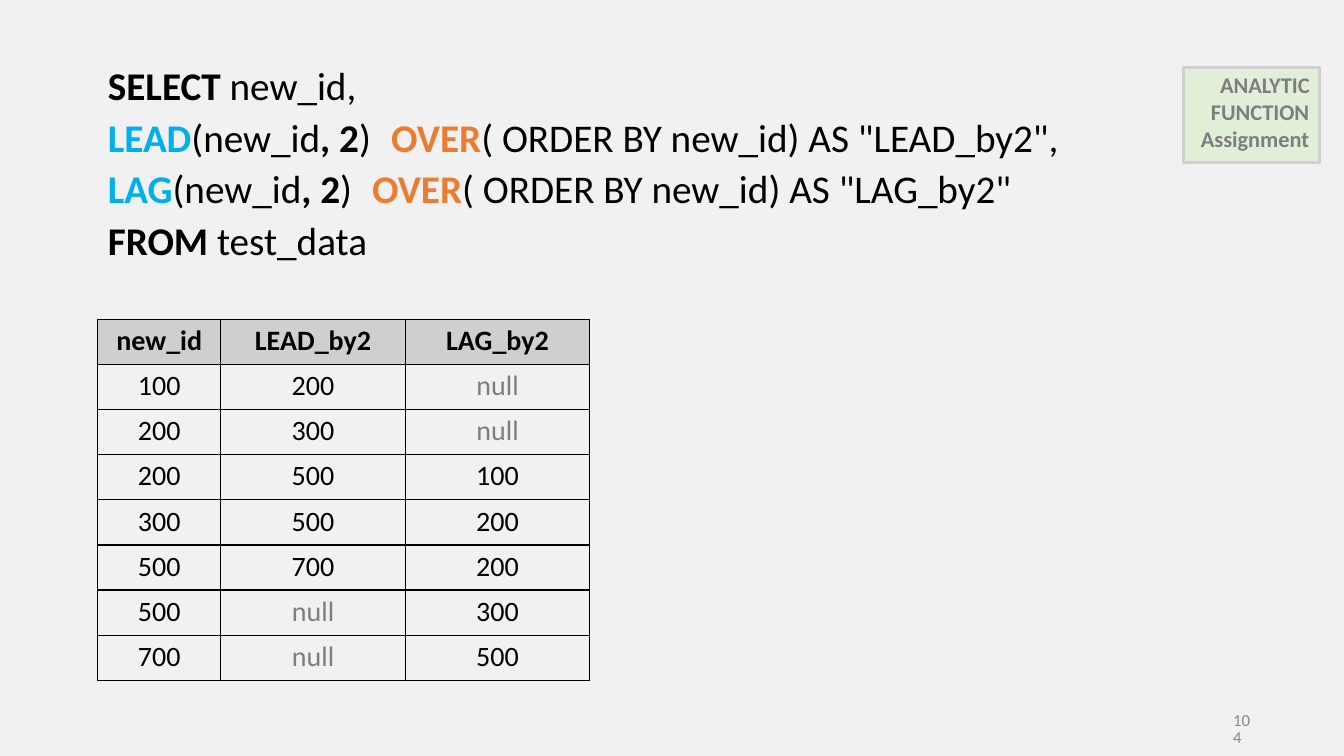
import pptx
import pptx.dml.color
import pptx.enum.shapes
import pptx.enum.text
import pptx.oxml.ns
import pptx.util
from lxml import etree

Inches = pptx.util.Inches
Pt = pptx.util.Pt
RGBColor = pptx.dml.color.RGBColor
PP_ALIGN = pptx.enum.text.PP_ALIGN
qn = pptx.oxml.ns.qn

BLACK = RGBColor(0x00, 0x00, 0x00)
BACKGROUND = RGBColor(0xF1, 0xF1, 0xF1)
BLUE = RGBColor(0x00, 0xAF, 0xEF)
ORANGE = RGBColor(0xEC, 0x7C, 0x30)
HEADER_GREY = RGBColor(0xD0, 0xCE, 0xCE)
PALE_GREEN = RGBColor(0xE1, 0xEF, 0xD9)
MUTED = RGBColor(0x7E, 0x7E, 0x7E)
PAGE_GREY = RGBColor(0x88, 0x88, 0x88)

RESULTS = [
    ("new_id", "LEAD_by2", "LAG_by2"),
    ("100", "200", "null"),
    ("200", "300", "null"),
    ("200", "500", "100"),
    ("300", "500", "200"),
    ("500", "700", "200"),
    ("500", "null", "300"),
    ("700", "null", "500"),
]


def window_call(function, alias):
    """Return the runs of one LEAD or LAG line."""
    return [(function, BLUE, True), ("(new_id", BLACK, False), (", 2", BLACK, True),
            (")\t", BLACK, False), ("OVER", ORANGE, True),
            (f"( ORDER BY new_id) AS {alias}", BLACK, False)]


def keyword_line(keyword, rest):
    return [(keyword, BLACK, True), (rest, BLACK, False)]


class SlideBuilder:
    font = "Calibri"

    def __init__(self, presentation):
        self.slide = presentation.slides.add_slide(presentation.slide_layouts[5])
        fill = self.slide.background.fill
        fill.solid()
        fill.fore_color.rgb = BACKGROUND

    def prepare(self, frame, top_inset=0.0, left_inset=0.0):
        frame.word_wrap = True
        frame.auto_size = pptx.enum.text.MSO_AUTO_SIZE.NONE
        frame.vertical_anchor = pptx.enum.text.MSO_ANCHOR.TOP
        frame.margin_right = frame.margin_bottom = 0
        frame.margin_left = Inches(left_inset)
        frame.margin_top = Inches(top_inset)
        return frame

    def style(self, paragraph, size, color=None, bold=None, align=PP_ALIGN.LEFT):
        paragraph.alignment = align
        paragraph.line_spacing = 1.0
        font = paragraph.font
        font.name, font.size, font.bold = self.font, Pt(size), bold
        if color is not None:
            font.color.rgb = color

    def indent(self, paragraph, left, first=0.0):
        properties = paragraph._p.get_or_add_pPr()
        properties.set("marL", str(Inches(left)))
        properties.set("indent", str(Inches(first)))

    def text_box(self, left, top, width, height):
        return self.slide.shapes.add_textbox(
            Inches(left), Inches(top), Inches(width), Inches(height))

    def code(self, box, lines, tab):
        frame = self.prepare(box.text_frame, 0.06, 0.01)
        for index, line in enumerate(lines):
            paragraph = frame.add_paragraph() if index else frame.paragraphs[0]
            tabs = etree.SubElement(paragraph._p.get_or_add_pPr(), qn("a:tabLst"))
            etree.SubElement(tabs, qn("a:tab"), pos=str(Inches(tab)), algn="l")
            self.style(paragraph, 28)
            paragraph.space_before = Pt(3.2 if index else 0)
            for text, color, bold in line:
                run = paragraph.add_run()
                run.text = text
                run.font.bold = bold
                run.font.color.rgb = color

    def title_code(self, left, top, width, height, lines, tab):
        title = self.slide.shapes.title
        title.left, title.top = Inches(left), Inches(top)
        title.width, title.height = Inches(width), Inches(height)
        self.code(title, lines, tab)

    def cell_borders(self, cell):
        properties = cell._tc.get_or_add_tcPr()
        for side in ("lnL", "lnR", "lnT", "lnB"):
            border = etree.SubElement(properties, qn(f"a:{side}"), w=str(Pt(1)))
            fill = etree.SubElement(border, qn("a:solidFill"))
            etree.SubElement(fill, qn("a:srgbClr"), val=str(BLACK))

    def table(self, left, top, widths, height, rows):
        grid = self.slide.shapes.add_table(
            len(rows), len(widths), Inches(left), Inches(top),
            Inches(sum(widths)), Inches(height)).table
        grid.first_row = grid.horz_banding = False
        for column, width in zip(grid.columns, widths):
            column.width = Inches(width)
        for r, values in enumerate(rows):
            for c, value in enumerate(values):
                cell = grid.cell(r, c)
                cell.margin_left = cell.margin_right = cell.margin_bottom = 0
                cell.margin_top = Inches(0.04 if r < 4 else 0.05)
                cell.text = value
                self.style(cell.text_frame.paragraphs[0], 20,
                           MUTED if value == "null" else BLACK,
                           r == 0, PP_ALIGN.CENTER)
                self.cell_borders(cell)
                if r == 0:
                    cell.fill.solid()
                    cell.fill.fore_color.rgb = HEADER_GREY
                else:
                    cell.fill.background()

    def tag(self, left, top, width, height, lines):
        """Add the bordered label; each line is (text, left indent, first-line indent)."""
        label = self.slide.shapes.add_shape(
            pptx.enum.shapes.MSO_SHAPE.RECTANGLE,
            Inches(left), Inches(top), Inches(width), Inches(height))
        label.shadow.inherit = False
        label.fill.solid()
        label.fill.fore_color.rgb = PALE_GREEN
        label.line.color.rgb = HEADER_GREY
        label.line.width = Pt(2.25)
        frame = self.prepare(label.text_frame, 0.04)
        for index, (text, margin, first) in enumerate(lines):
            paragraph = frame.add_paragraph() if index else frame.paragraphs[0]
            paragraph.text = text
            self.indent(paragraph, margin, first)
            self.style(paragraph, 16, MUTED, True)

    def page_number(self, left, top, width, height, number):
        frame = self.prepare(self.text_box(left, top, width, height).text_frame)
        paragraph = frame.paragraphs[0]
        paragraph.text = number
        self.indent(paragraph, 0.21)
        self.style(paragraph, 12, PAGE_GREY)
        paragraph.line_spacing = Pt(12.4)


def main():
    presentation = pptx.Presentation()
    presentation.slide_width = Inches(13.33)
    presentation.slide_height = Inches(7.5)
    builder = SlideBuilder(presentation)
    builder.title_code(1.06, 0.55, 9.75, 1.05, [
        keyword_line("SELECT ", "new_id,"),
        window_call("LEAD", '"LEAD_by2",'),
    ], tab=2.81)
    builder.code(builder.text_box(1.06, 1.57, 8.98, 1.05), [
        window_call("LAG", '"LAG_by2"'),
        keyword_line("FROM ", "test_data"),
    ], tab=2.62)
    builder.table(0.97, 3.17, (1.22, 1.83, 1.83), 3.58, RESULTS)
    builder.tag(11.74, 0.67, 1.35, 0.94, [
        ("ANALYTIC FUNCTION", 0.27, 0.09), ("Assignment", 0.17, 0)])
    builder.page_number(12.02, 7.07, 0.4, 0.18, "104")
    presentation.save("out.pptx")


if __name__ == "__main__":
    main()
